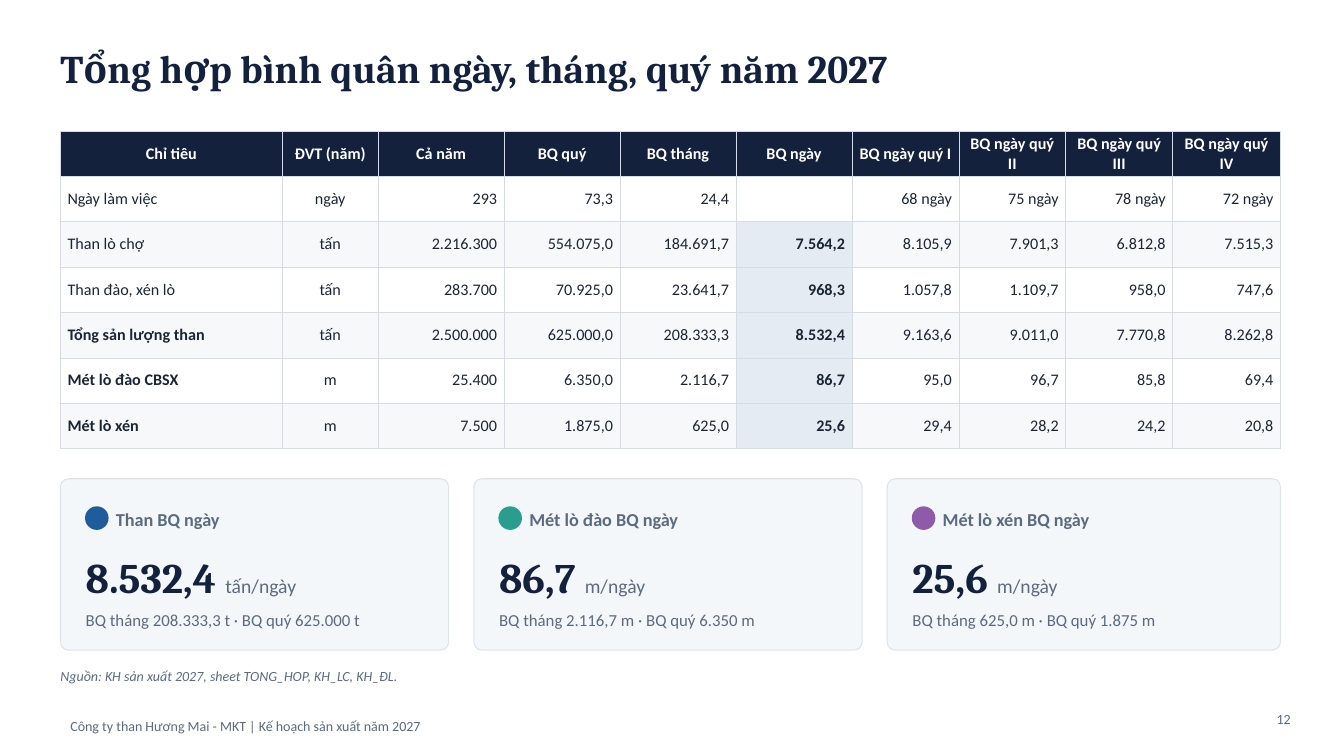
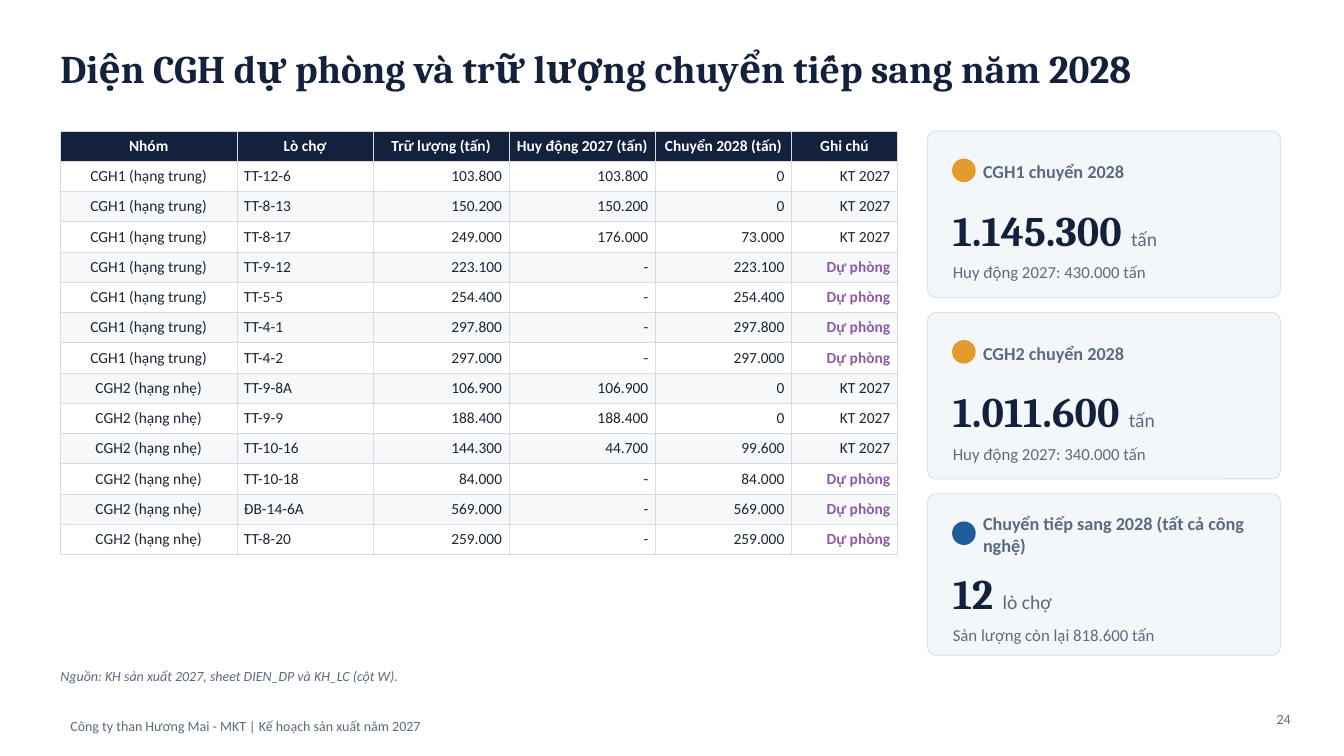
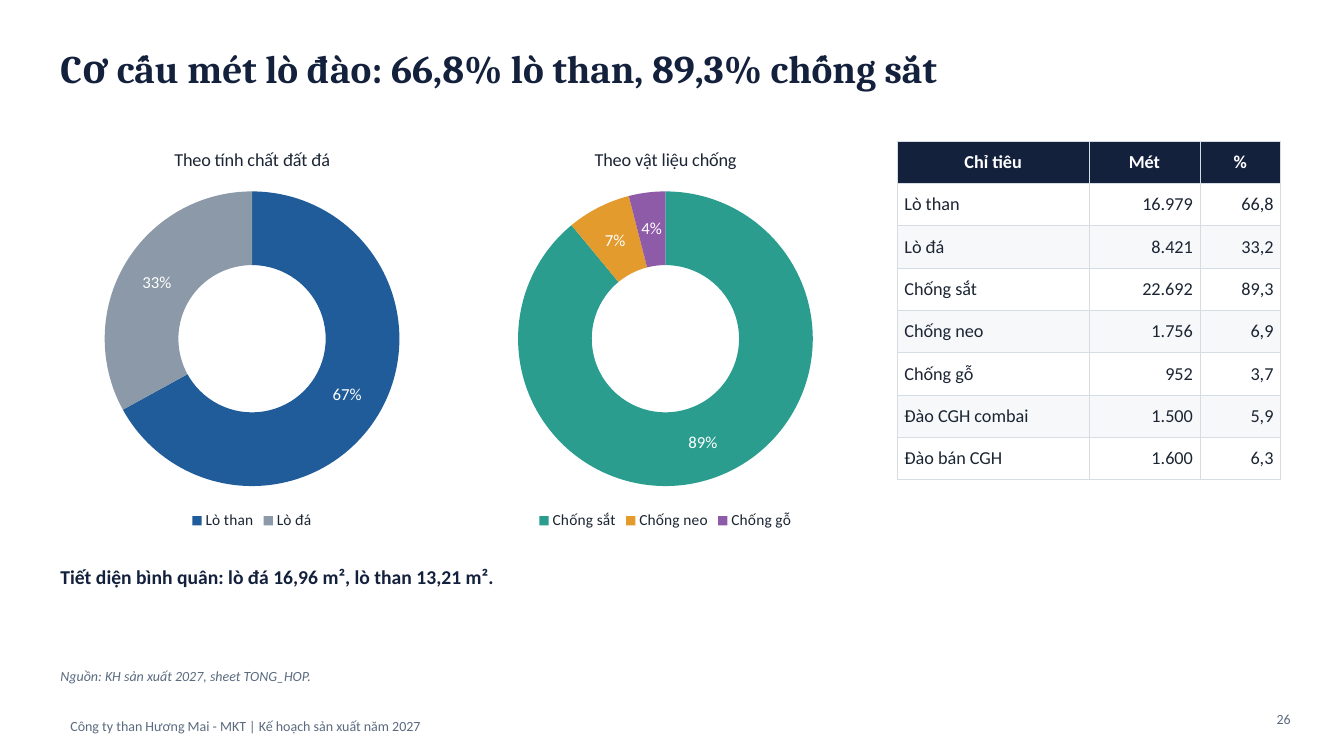
from dataclasses import dataclass

from lxml import etree
from pptx import Presentation
from pptx.chart.data import CategoryChartData
from pptx.dml.color import RGBColor
from pptx.enum.chart import XL_CHART_TYPE, XL_LEGEND_POSITION
from pptx.enum.shapes import MSO_SHAPE
from pptx.enum.text import MSO_ANCHOR, PP_ALIGN
from pptx.oxml.ns import qn
from pptx.util import Inches, Pt


@dataclass(frozen=True)
class Theme:
    """Colours, fonts and type sizes shared by all slides."""
    navy: str = "14213D"
    ink: str = "1B2533"
    muted: str = "5B6B7F"
    white: str = "FFFFFF"
    stripe: str = "F6F8FA"
    highlight: str = "E4EBF2"
    grid: str = "D5DCE3"
    card: str = "F4F7FA"
    card_edge: str = "DCE3EA"
    slice_edge: str = "F9F9F9"
    blue: str = "1F5C99"
    teal: str = "2A9D8F"
    purple: str = "8E5BA8"
    orange: str = "E39B2D"
    grey: str = "8C99A8"
    heading: str = "Cambria"
    body: str = "Calibri"
    title_size: float = 28
    value_size: float = 30
    unit_size: float = 14
    label_size: float = 13
    note_size: float = 12
    legend_size: float = 11
    small_size: float = 10


T = Theme()
LEFT, WIDTH, TOP = 0.6, 12.1, 1.3
FOOTER = "Công ty than Hương Mai - MKT | Kế hoạch sản xuất năm 2027"
ALIGN = {"l": PP_ALIGN.LEFT, "c": PP_ALIGN.CENTER, "r": PP_ALIGN.RIGHT}


def box(x, y, w, h):
    """Turn a frame in inches into lengths."""
    return [Inches(round(v, 2)) for v in (x, y, w, h)]


def style_font(font, size, color, bold=False, italic=False, name=T.body):
    """Set the look of a font."""
    font.name, font.size = name, Pt(size)
    font.bold, font.italic = bold, italic
    font.color.rgb = RGBColor.from_string(color)


def add_run(paragraph, text, size, color, **style):
    """Append a styled run to a paragraph."""
    run = paragraph.add_run()
    run.text = text
    style_font(run.font, size, color, **style)


def add_text(slide, frame, *runs, anchor=MSO_ANCHOR.TOP, align="l", inset=(0, 0)):
    """Add a text box holding one paragraph of (text, size, color, style) runs."""
    text_frame = slide.shapes.add_textbox(*box(*frame)).text_frame
    text_frame.word_wrap = True
    text_frame.vertical_anchor = anchor
    text_frame.margin_left = text_frame.margin_right = Inches(inset[0])
    text_frame.margin_top = text_frame.margin_bottom = Inches(inset[1])
    paragraph = text_frame.paragraphs[0]
    paragraph.alignment = ALIGN[align]
    for text, size, color, style in runs:
        add_run(paragraph, text, size, color, **style)


def add_shape(slide, kind, frame, fill, line, line_width):
    """Add a flat preset shape."""
    shape = slide.shapes.add_shape(kind, *box(*frame))
    shape.shadow.inherit = False
    shape.fill.solid()
    shape.fill.fore_color.rgb = RGBColor.from_string(fill)
    shape.line.color.rgb = RGBColor.from_string(line)
    shape.line.width = Pt(line_width)
    return shape


def new_slide(prs, title, source, number):
    """Add a slide with the shared footer, title, source line and page number."""
    slide = prs.slides.add_slide(prs.slide_layouts[6])
    inset = (0.1, 0.05)
    add_text(slide, (LEFT, 7.05, 8, 0.3), (FOOTER, T.small_size, T.muted, {}),
             anchor=MSO_ANCHOR.MIDDLE, inset=inset)
    add_text(slide, (LEFT, 0.3, WIDTH, 0.75),
             (title, T.title_size, T.navy, {"bold": True, "name": T.heading}),
             anchor=MSO_ANCHOR.MIDDLE)
    add_text(slide, (LEFT, 6.62, 11.6, 0.32),
             (f"Nguồn: KH sản xuất 2027, sheet {source}.", T.small_size, T.muted, {"italic": True}))
    add_text(slide, (12.3, 7, 0.6, 0.35), (str(number), T.small_size, T.muted, {}),
             align="r", inset=inset)
    return slide


def add_card(slide, frame, color, label, value, unit, note):
    """Add a figure card with a dot, label, value and note."""
    x, y, w, h = frame
    card = add_shape(slide, MSO_SHAPE.ROUNDED_RECTANGLE, frame, T.card, T.card_edge, 0.75)
    card.adjustments[0] = 0.08 / h
    add_shape(slide, MSO_SHAPE.OVAL, (x + 0.25, y + 0.28, 0.22, 0.22), color, color, 1)
    add_text(slide, (x + 0.55, y + 0.2, w - 0.7, 0.4),
             (label, T.label_size, T.muted, {"bold": True}), anchor=MSO_ANCHOR.MIDDLE)
    add_text(slide, (x + 0.25, y + 0.65, w - 0.4, 0.65),
             (value + " ", T.value_size, T.navy, {"bold": True, "name": T.heading}),
             (unit, T.unit_size, T.muted, {}), anchor=MSO_ANCHOR.MIDDLE)
    add_text(slide, (x + 0.25, y + 1.3, w - 0.4, h - 1.4), (note, T.note_size, T.muted, {}))


def set_borders(cell):
    """Draw a thin grid line on every side of a cell."""
    properties = cell._tc.get_or_add_tcPr()
    for side in ("lnL", "lnR", "lnT", "lnB"):
        line = etree.SubElement(properties, qn(f"a:{side}"), w=str(Pt(0.5)))
        fill = etree.SubElement(line, qn("a:solidFill"))
        etree.SubElement(fill, qn("a:srgbClr"), val=T.grid)


def fill_cell(cell, text, size, color, fill, align, bold):
    """Write and paint one table cell."""
    set_borders(cell)
    cell.fill.solid()
    cell.fill.fore_color.rgb = RGBColor.from_string(fill)
    cell.vertical_anchor = MSO_ANCHOR.MIDDLE
    cell.margin_left = cell.margin_right = Inches(0.07)
    cell.margin_top = cell.margin_bottom = Inches(0.03)
    paragraph = cell.text_frame.paragraphs[0]
    paragraph.alignment = ALIGN[align]
    add_run(paragraph, text, size, color, bold=bold)


def add_table(slide, x, y, widths, row_height, size, aligns, rows,
              bold_rows=(), key_column=None, accents=()):
    """Add a striped table whose first row is the header."""
    frame = box(x, y, sum(widths), row_height * len(rows))
    table = slide.shapes.add_table(len(rows), len(widths), *frame).table
    table.first_row = table.horz_banding = False
    for column, width in zip(table.columns, widths):
        column.width = Inches(width)
    for r, values in enumerate(rows):
        table.rows[r].height = Inches(row_height)
        for c, text in enumerate(values):
            if r == 0:
                look = T.white, T.navy, "c", True
            else:
                key = c == key_column and text != ""
                accent = text in accents
                fill = T.highlight if key else T.white if r % 2 else T.stripe
                bold = key or accent or (c == 0 and text in bold_rows)
                look = T.purple if accent else T.ink, fill, aligns[c], bold
            fill_cell(table.cell(r, c), text, size, *look)


def add_doughnut(slide, frame, title, slices):
    """Add a doughnut chart from (name, percent, color) slices."""
    data = CategoryChartData()
    data.categories = [name for name, _, _ in slices]
    data.add_series("Series 1", [percent for _, percent, _ in slices])
    chart = slide.shapes.add_chart(XL_CHART_TYPE.DOUGHNUT, *box(*frame), data).chart
    style_font(chart.font, T.small_size, T.ink)
    chart.has_title = True
    add_run(chart.chart_title.text_frame.paragraphs[0], title, T.label_size, T.ink)
    chart.chart_title.include_in_layout = False
    chart.has_legend = True
    chart.legend.position = XL_LEGEND_POSITION.BOTTOM
    chart.legend.include_in_layout = False
    style_font(chart.legend.font, T.legend_size, T.ink)
    plot = chart.plots[0]
    plot.vary_by_categories = True
    plot._element.find(qn("c:holeSize")).set("val", "60")
    series = plot.series[0]
    series.format.line.color.rgb = RGBColor.from_string(T.slice_edge)
    series.format.line.width = Pt(0.75)
    for i, (_, _, color) in enumerate(slices):
        fill = series.points[i].format.fill
        fill.solid()
        fill.fore_color.rgb = RGBColor.from_string(color)
    plot.has_data_labels = True
    labels = plot.data_labels
    labels.show_percentage, labels.show_value = True, False
    labels.number_format, labels.number_format_is_linked = "0%", False
    style_font(labels.font, T.note_size, T.white)


def averages_slide(prs):
    """Build the slide of daily, monthly and quarterly averages."""
    slide = new_slide(prs, "Tổng hợp bình quân ngày, tháng, quý năm 2027",
                      "TONG_HOP, KH_LC, KH_ĐL", 12)
    rows = [
        ["Chỉ tiêu", "ĐVT (năm)", "Cả năm", "BQ quý", "BQ tháng", "BQ ngày"]
        + [f"BQ ngày quý {quarter}" for quarter in ("I", "II", "III", "IV")],
        ["Ngày làm việc", "ngày", "293", "73,3", "24,4", "",
         "68 ngày", "75 ngày", "78 ngày", "72 ngày"],
        ["Than lò chợ", "tấn", "2.216.300", "554.075,0", "184.691,7", "7.564,2",
         "8.105,9", "7.901,3", "6.812,8", "7.515,3"],
        ["Than đào, xén lò", "tấn", "283.700", "70.925,0", "23.641,7", "968,3",
         "1.057,8", "1.109,7", "958,0", "747,6"],
        ["Tổng sản lượng than", "tấn", "2.500.000", "625.000,0", "208.333,3", "8.532,4",
         "9.163,6", "9.011,0", "7.770,8", "8.262,8"],
        ["Mét lò đào CBSX", "m", "25.400", "6.350,0", "2.116,7", "86,7",
         "95,0", "96,7", "85,8", "69,4"],
        ["Mét lò xén", "m", "7.500", "1.875,0", "625,0", "25,6",
         "29,4", "28,2", "24,2", "20,8"],
    ]
    widths = [2.2, 0.95, 1.25] + [1.15] * 3 + [1.06] * 3 + [1.07]
    add_table(slide, LEFT, TOP, widths, 0.45, 11.5, "lc" + "r" * 8, rows, key_column=5,
              bold_rows=("Tổng sản lượng than", "Mét lò đào CBSX", "Mét lò xén"))
    cards = [
        (3.85, T.blue, "Than BQ ngày", "8.532,4", "tấn/ngày",
         "BQ tháng 208.333,3 t · BQ quý 625.000 t"),
        (3.85, T.teal, "Mét lò đào BQ ngày", "86,7", "m/ngày",
         "BQ tháng 2.116,7 m · BQ quý 6.350 m"),
        (3.9, T.purple, "Mét lò xén BQ ngày", "25,6", "m/ngày",
         "BQ tháng 625,0 m · BQ quý 1.875 m"),
    ]
    for i, (width, *content) in enumerate(cards):
        add_card(slide, (LEFT + 4.1 * i, 4.75, width, 1.7), *content)


def reserves_slide(prs):
    """Build the slide of reserves carried over to 2028."""
    slide = new_slide(prs, "Diện CGH dự phòng và trữ lượng chuyển tiếp sang năm 2028",
                      "DIEN_DP và KH_LC (cột W)", 24)
    mined, spare = "KT 2027", "Dự phòng"
    groups = {
        "CGH1 (hạng trung)": [
            ("TT-12-6", "103.800", "103.800", "0", mined),
            ("TT-8-13", "150.200", "150.200", "0", mined),
            ("TT-8-17", "249.000", "176.000", "73.000", mined),
            ("TT-9-12", "223.100", "-", "223.100", spare),
            ("TT-5-5", "254.400", "-", "254.400", spare),
            ("TT-4-1", "297.800", "-", "297.800", spare),
            ("TT-4-2", "297.000", "-", "297.000", spare),
        ],
        "CGH2 (hạng nhẹ)": [
            ("TT-9-8A", "106.900", "106.900", "0", mined),
            ("TT-9-9", "188.400", "188.400", "0", mined),
            ("TT-10-16", "144.300", "44.700", "99.600", mined),
            ("TT-10-18", "84.000", "-", "84.000", spare),
            ("ĐB-14-6A", "569.000", "-", "569.000", spare),
            ("TT-8-20", "259.000", "-", "259.000", spare),
        ],
    }
    rows = [("Nhóm", "Lò chợ", "Trữ lượng (tấn)", "Huy động 2027 (tấn)",
             "Chuyển 2028 (tấn)", "Ghi chú")]
    rows += [(group, *face) for group, faces in groups.items() for face in faces]
    add_table(slide, LEFT, TOP, [1.75, 1.35, 1.35, 1.45, 1.35, 1.05], 0.3, 11,
              "clrrrr", rows, accents=(spare,))
    cards = [
        (1.65, T.orange, "CGH1 chuyển 2028", "1.145.300", "tấn", "Huy động 2027: 430.000 tấn"),
        (1.65, T.orange, "CGH2 chuyển 2028", "1.011.600", "tấn", "Huy động 2027: 340.000 tấn"),
        (1.6, T.blue, "Chuyển tiếp sang 2028 (tất cả công nghệ)", "12", "lò chợ",
         "Sản lượng còn lại 818.600 tấn"),
    ]
    for i, (height, *content) in enumerate(cards):
        add_card(slide, (9.2, TOP + 1.8 * i, 3.5, height), *content)


def structure_slide(prs):
    """Build the slide on the make-up of driven metres."""
    slide = new_slide(prs, "Cơ cấu mét lò đào: 66,8% lò than, 89,3% chống sắt", "TONG_HOP", 26)
    charts = [
        ("Theo tính chất đất đá", [("Lò than", 67, T.blue), ("Lò đá", 33, T.grey)]),
        ("Theo vật liệu chống", [("Chống sắt", 89, T.teal), ("Chống neo", 7, T.orange),
                                 ("Chống gỗ", 4, T.purple)]),
    ]
    for i, (title, slices) in enumerate(charts):
        add_doughnut(slide, (0.5 + 4.1 * i, TOP, 4, 4), title, slices)
    rows = [
        ("Chỉ tiêu", "Mét", "%"),
        ("Lò than", "16.979", "66,8"),
        ("Lò đá", "8.421", "33,2"),
        ("Chống sắt", "22.692", "89,3"),
        ("Chống neo", "1.756", "6,9"),
        ("Chống gỗ", "952", "3,7"),
        ("Đào CGH combai", "1.500", "5,9"),
        ("Đào bán CGH", "1.600", "6,3"),
    ]
    add_table(slide, 8.9, 1.4, [1.9, 1.1, 0.8], 0.42, 13, "lrr", rows)
    add_text(slide, (LEFT, 5.6, 8, 0.4),
             ("Tiết diện bình quân: lò đá 16,96 m², lò than 13,21 m².",
              T.unit_size, T.navy, {"bold": True}))


def main():
    """Build and save the presentation."""
    prs = Presentation()
    prs.slide_width, prs.slide_height = Inches(13.33), Inches(7.5)
    for build in (averages_slide, reserves_slide, structure_slide):
        build(prs)
    prs.save("out.pptx")


main()
